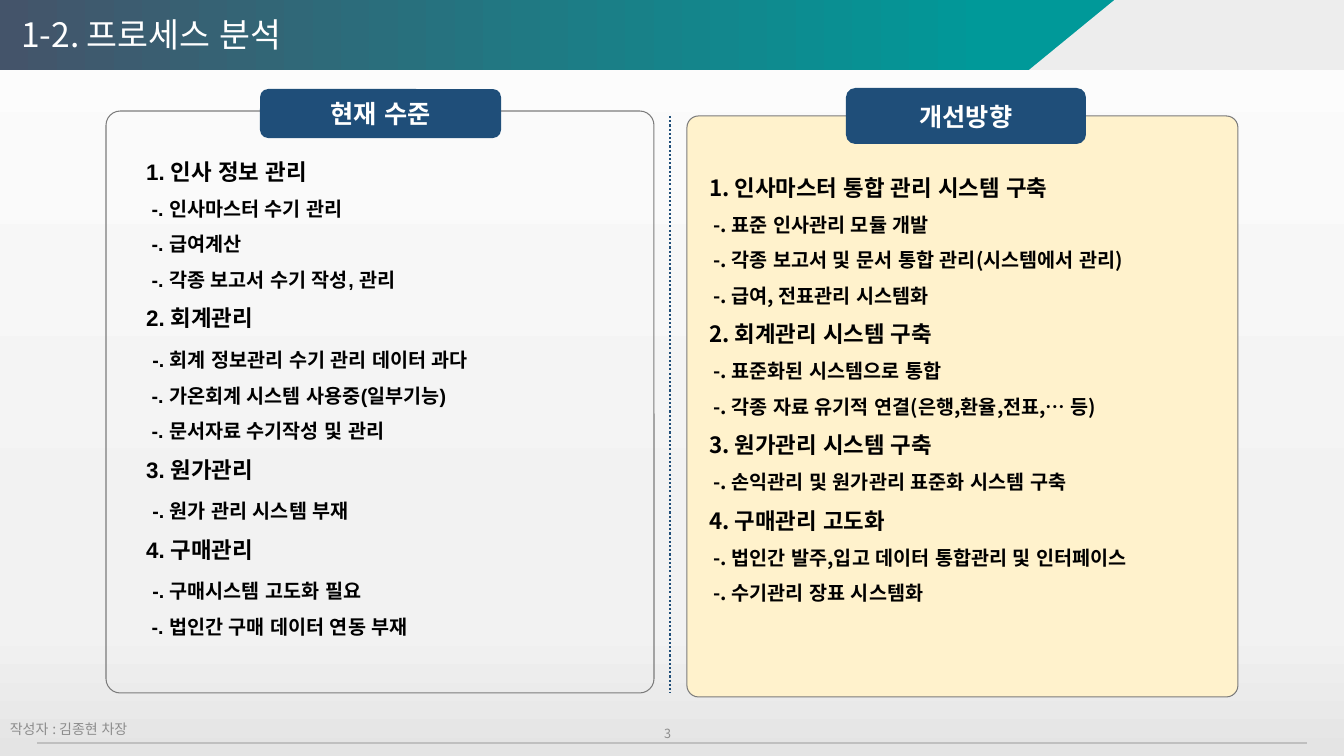
import pptx
import pptx.util
import pptx.dml.color
import pptx.enum.shapes
import pptx.enum.text
import pptx.enum.dml
import pptx.enum.lang
import pptx.oxml
import pptx.oxml.ns
import lxml.etree

PX = 914400 / 100.8
COLORS = {
    "slate": "44546A", "teal": "009999", "corner": "EDEDED", "rule": "BFBFBF",
    "muted": "8C8C8C", "white": "FFFFFF", "black": "000000", "border": "7B7B7B",
    "navy": "1F4E79", "cream": "FFF2CC",
    "top": "FCFCFC", "middle": "F2F2F2", "bottom": "E4E4E4",
}
ARIAL = "Arial"
NOTO = "Noto Sans CJK KR"
SHAPE = pptx.enum.shapes.MSO_SHAPE
ANCHOR = pptx.enum.text.MSO_ANCHOR
ALIGN = pptx.enum.text.PP_ALIGN


def color(name):
    return pptx.dml.color.RGBColor.from_string(COLORS[name])


def add_text(paragraph, text, size, font, color_name, bold=False):
    run = paragraph.add_run()
    run.text = text
    run.font.size = pptx.util.Pt(size)
    run.font.name = font
    run.font.bold = bold
    run.font.language_id = pptx.enum.lang.MSO_LANGUAGE_ID.KOREAN
    run.font.color.rgb = color(color_name)
    east_asian = lxml.etree.SubElement(run.font._element, pptx.oxml.ns.qn("a:ea"))
    east_asian.set("typeface", NOTO)


presentation = pptx.Presentation()
presentation.slide_width = round(1344 * PX)
presentation.slide_height = round(756 * PX)
slide = presentation.slides.add_slide(presentation.slide_layouts[3])
shapes = slide.shapes
title, current_list, improved_list = list(slide.placeholders)

blocks = {}
for name, kind, left, top, width, height, fill, line, radius in [
    ("header", SHAPE.RECTANGLE, 0, 0, 1344, 70, None, None, None),
    ("slope", SHAPE.ISOSCELES_TRIANGLE, 1029, 0, 171, 70, "corner", None, None),
    ("corner", SHAPE.RECTANGLE, 1115, 0, 229, 70, "corner", None, None),
    ("current panel", SHAPE.ROUNDED_RECTANGLE, 106, 111, 548, 582, None, "border", 0.026),
    ("현재 수준", SHAPE.ROUNDED_RECTANGLE, 260, 89, 241, 49, "navy", None, None),
    ("improved panel", SHAPE.ROUNDED_RECTANGLE, 687, 116, 551, 581, "cream", "border", 0.021),
    ("개선방향", SHAPE.ROUNDED_RECTANGLE, 846, 88, 240, 56, "navy", None, None),
]:
    shape = shapes.add_shape(kind, *[round(v * PX) for v in (left, top, width, height)])
    shape.shadow.inherit = False
    if fill:
        shape.fill.solid()
        shape.fill.fore_color.rgb = color(fill)
    else:
        shape.fill.background()
    if line:
        shape.line.color.rgb = color(line)
        shape.line.width = pptx.util.Pt(0.75)
    else:
        shape.line.fill.background()
    if radius:
        shape.adjustments[0] = radius
    blocks[name] = shape

for fill, angle, stops in [
    (slide.background.fill, 270, [(0, "top"), (74, "middle"), (83, "middle"), (100, "bottom")]),
    (blocks["header"].fill, 0, [(0, "slate"), (74, "teal"), (100, "teal")]),
]:
    fill.gradient()
    fill.gradient_angle = angle
    stop_list = fill.gradient_stops[0]._gs.getparent()
    stop_list.clear()
    for position, name in stops:
        stop = lxml.etree.SubElement(stop_list, pptx.oxml.ns.qn("a:gs"), pos=str(position * 1000))
        lxml.etree.SubElement(stop, pptx.oxml.ns.qn("a:srgbClr"), val=COLORS[name])

for label, font in [("현재 수준", ARIAL), ("개선방향", NOTO)]:
    frame = blocks[label].text_frame
    frame.vertical_anchor = ANCHOR.MIDDLE
    frame.paragraphs[0].alignment = ALIGN.CENTER
    add_text(frame.paragraphs[0], label, 18, font, "white", True)

for x1, y1, x2, y2, name, width, dash in [
    (37, 743, 1307, 743, "rule", 1, None),
    (670, 116, 670, 693, "navy", 1.5, pptx.enum.dml.MSO_LINE.ROUND_DOT),
]:
    connector = shapes.add_connector(
        pptx.enum.shapes.MSO_CONNECTOR.STRAIGHT, *[round(v * PX) for v in (x1, y1, x2, y2)])
    connector.line.color.rgb = color(name)
    connector.line.width = pptx.util.Pt(width)
    connector.line.dash_style = dash
    lxml.etree.SubElement(connector._element.spPr, pptx.oxml.ns.qn("a:effectLst"))

for left, top, width, height, text, size, alignment in [
    (0, 717, 302, 24, "작성자 : 김종현 차장", 10, ALIGN.LEFT),
    (642, 721, 39, 24, "3", 9, ALIGN.RIGHT),
]:
    box = shapes.add_textbox(*[round(v * PX) for v in (left, top, width, height)])
    box.text_frame.word_wrap = True
    box.text_frame.vertical_anchor = ANCHOR.MIDDLE
    box.text_frame.paragraphs[0].alignment = alignment
    add_text(box.text_frame.paragraphs[0], text, size, NOTO, "muted")

current_lines = [
    [("1. 인사 정보 관리", 16)],
    [(" -. 인사마스터 수기 관리", 14)],
    [(" -. 급여계산", 14)],
    [(" -. 각종 보고서 수기 작성, 관리", 14)],
    [("2. 회계관리", 16)],
    [(" ", 16), ("-. 회계 정보관리 수기 관리 데이터 과다", 14)],
    [(" -. 가온회계 시스템 사용중(일부기능)", 14)],
    [(" -. 문서자료 수기작성 및 관리", 14)],
    [("3. 원가관리", 16)],
    [(" ", 16), ("-. 원가 관리 시스템 부재", 14)],
    [("4. 구매관리", 16)],
    [(" ", 16), ("-. 구매시스템 고도화 필요", 14)],
    [(" -. 법인간 구매 데이터 연동 부재", 14)],
]
improved_lines = [
    [("1. 인사마스터 통합 관리 시스템 구축", 16)],
    [(" -. 표준 인사관리 모듈 개발", 14)],
    [(" -. 각종 보고서 및 문서 통합 관리(시스템에서 관리)", 14)],
    [(" -. 급여, 전표관리 시스템화", 14)],
    [("2. 회계관리 시스템 구축", 16)],
    [(" -. 표준화된 시스템으로 통합", 14)],
    [(" -. 각종 자료 유기적 연결(은행,환율,전표,… 등)", 14)],
    [("3. 원가관리 시스템 구축", 16)],
    [(" -. 손익관리 및 원가관리 표준화 시스템 구축", 14)],
    [("4. 구매관리 고도화", 16)],
    [(" -. 법인간 발주,입고 데이터 통합관리 및 인터페이스", 14)],
    [(" -. 수기관리 장표 시스템화", 14)],
]
for placeholder, left, top, width, height, lines, font in [
    (title, 11, 9, 706, 50, [[("1-2. 프로세스 분석", 24)]], NOTO),
    (current_list, 136, 140, 488, 509, current_lines, ARIAL),
    (improved_list, 699, 156, 502, 454, improved_lines, NOTO),
]:
    placeholder.left, placeholder.top, placeholder.width, placeholder.height = [
        round(v * PX) for v in (left, top, width, height)]
    shapes.element.append(placeholder.element)
    frame = placeholder.text_frame
    frame.auto_size = pptx.enum.text.MSO_AUTO_SIZE.NONE
    frame.word_wrap = True
    frame.vertical_anchor = ANCHOR.TOP
    for index, line in enumerate(lines):
        paragraph = frame.paragraphs[0] if index == 0 else frame.add_paragraph()
        paragraph.alignment = ALIGN.LEFT
        paragraph.space_before = pptx.util.Pt(0)
        if placeholder is not title:
            paragraph.line_spacing = 1.5
            properties = paragraph._element.get_or_add_pPr()
            properties.set("marL", "0")
            properties.set("indent", "0")
            lxml.etree.SubElement(properties, pptx.oxml.ns.qn("a:buNone"))
        for text, size in line:
            if placeholder is title:
                add_text(paragraph, text, size, font, "white")
            else:
                add_text(paragraph, text, size, font, "black", True)

presentation.save("out.pptx")
